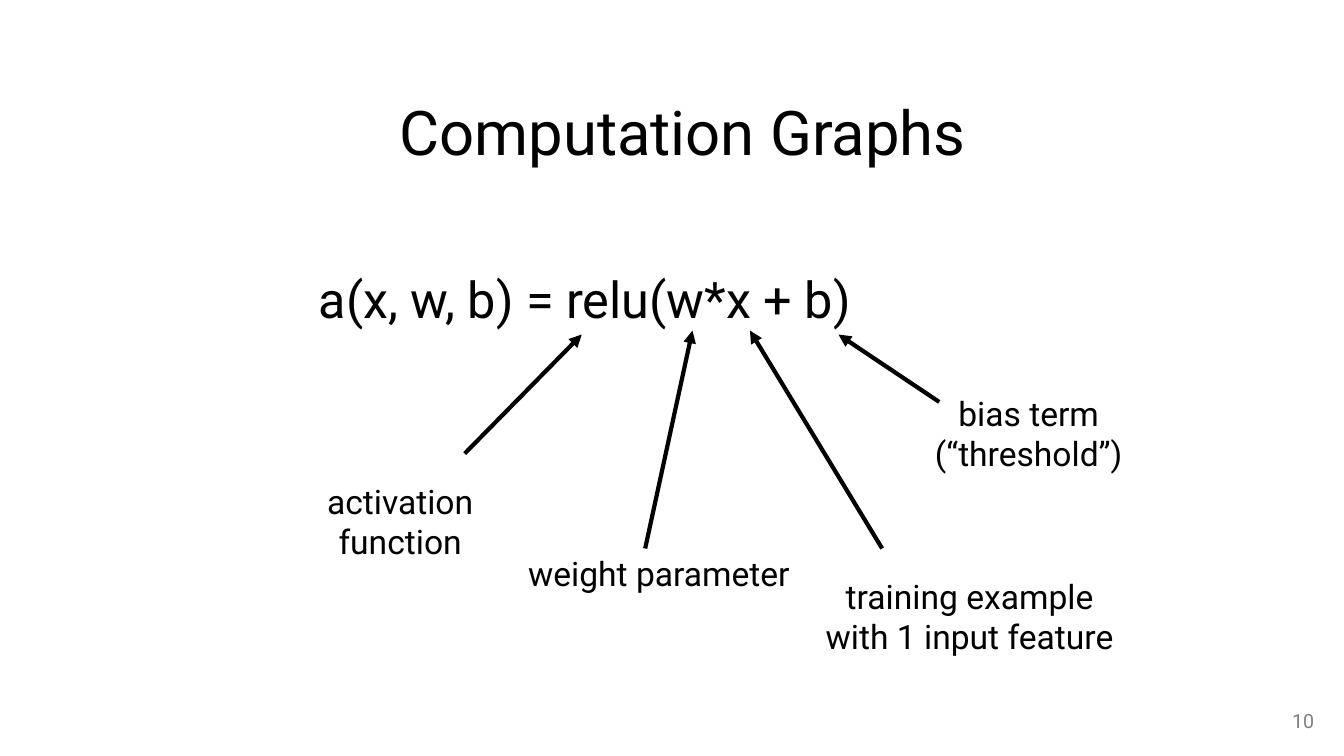
from dataclasses import dataclass

from pptx import Presentation
from pptx.dml.color import RGBColor as Rgb
from pptx.enum.shapes import MSO_CONNECTOR as Link
from pptx.enum.text import MSO_ANCHOR as Anchor, MSO_AUTO_SIZE as Fit, PP_ALIGN as Align
from pptx.oxml.ns import qn
from pptx.util import Cm, Pt
from lxml.etree import SubElement


@dataclass(frozen=True)
class Theme:
    font: str = "Roboto"
    ink: Rgb = Rgb(0, 0, 0)
    gray: Rgb = Rgb(0x80, 0x80, 0x80)
    title: int = 44
    math: int = 36
    label: int = 24
    page: int = 14
    line: int = 3


THEME = Theme()

# Label lines, label box, arrow start, arrow tip; cm from the diagram corner
NOTES = [
    (["activation function"], (0, 5.36, 7.47, 2.31), (5.36, 4.8), (8.31, 1.8)),
    (["weight parameter"], (6.65, 7.19, 7.21, 1.27), (9.91, 7.19), (11.1, 1.7)),
    (["training example", "with 1 input feature"],
     (14.2, 7.75, 7.77, 2.31), (15.88, 7.19), (12.55, 1.7)),
    (["bias term", "(“threshold”)"],
     (16.92, 3.15, 5.31, 2.31), (17.32, 3.5), (14.78, 1.8)),
]


def place(shape, box):
    shape.left, shape.top, shape.width, shape.height = map(Cm, box)


def write(shape, lines, size, color=THEME.ink, align=Align.CENTER,
          anchor=Anchor.TOP, wrap=True):
    frame = shape.text_frame
    frame.text = "\n".join(lines)
    frame.auto_size = Fit.NONE
    frame.word_wrap = wrap
    frame.vertical_anchor = anchor
    for para in frame.paragraphs:
        para.alignment = align
        font = para.font
        font.name, font.size = THEME.font, Pt(size)
        font.color.rgb = color


def add_text(slide, box, lines, size, **style):
    write(slide.shapes.add_textbox(*map(Cm, box)), lines, size, **style)


def add_arrow(slide, start, tip):
    arrow = slide.shapes.add_connector(Link.STRAIGHT, *map(Cm, (*start, *tip)))
    arrow.line.color.rgb = THEME.ink
    arrow.line.width = Pt(THEME.line)
    SubElement(arrow.line._get_or_add_ln(), qn("a:tailEnd"), type="triangle")
    SubElement(arrow._element.spPr, qn("a:effectLst"))


# Title region
def add_title(slide, box):
    title = slide.shapes.title
    place(title, box)
    write(title, ["Computation Graphs"], THEME.title, anchor=Anchor.MIDDLE)


# Formula with its labelled parts
def add_graph(slide, box):
    left, top = box[:2]

    def shift(x, y, *size):
        return (left + x, top + y, *size)

    add_text(slide, shift(0.81, 0, 15.16, 1.8),
             ["a(x, w, b) = relu(w*x + b)"], THEME.math, wrap=False)
    for lines, area, start, tip in NOTES:
        add_arrow(slide, shift(*start), shift(*tip))
        # A one-line box wraps its text when it is tall enough for two lines
        add_text(slide, shift(*area), lines, THEME.label,
                 wrap=len(lines) == 1 and area[3] > 2)


# Page number region
def add_page(slide, box):
    add_text(slide, box, ["10"], THEME.page, color=THEME.gray,
             align=Align.RIGHT, anchor=Anchor.MIDDLE)


def main():
    deck = Presentation()
    deck.slide_width, deck.slide_height = Cm(33.87), Cm(19.05)
    slide = deck.slides.add_slide(deck.slide_layouts.get_by_name("Title Only"))
    add_title(slide, (1.02, 1.7, 32.39, 3.18))
    add_graph(slide, (6.35, 6.63, 22.23, 10.06))
    add_page(slide, (31.72, 17.65, 1.65, 1.02))
    deck.save("out.pptx")


if __name__ == "__main__":
    main()
